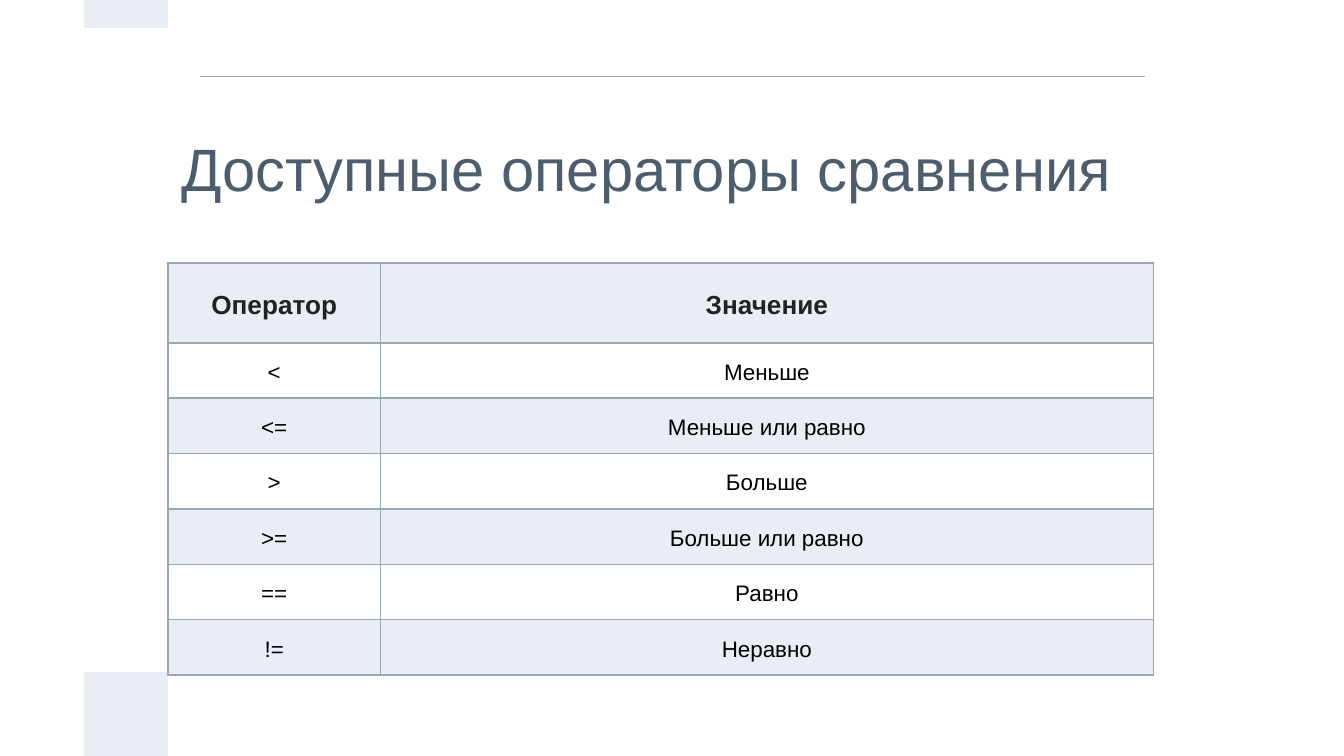
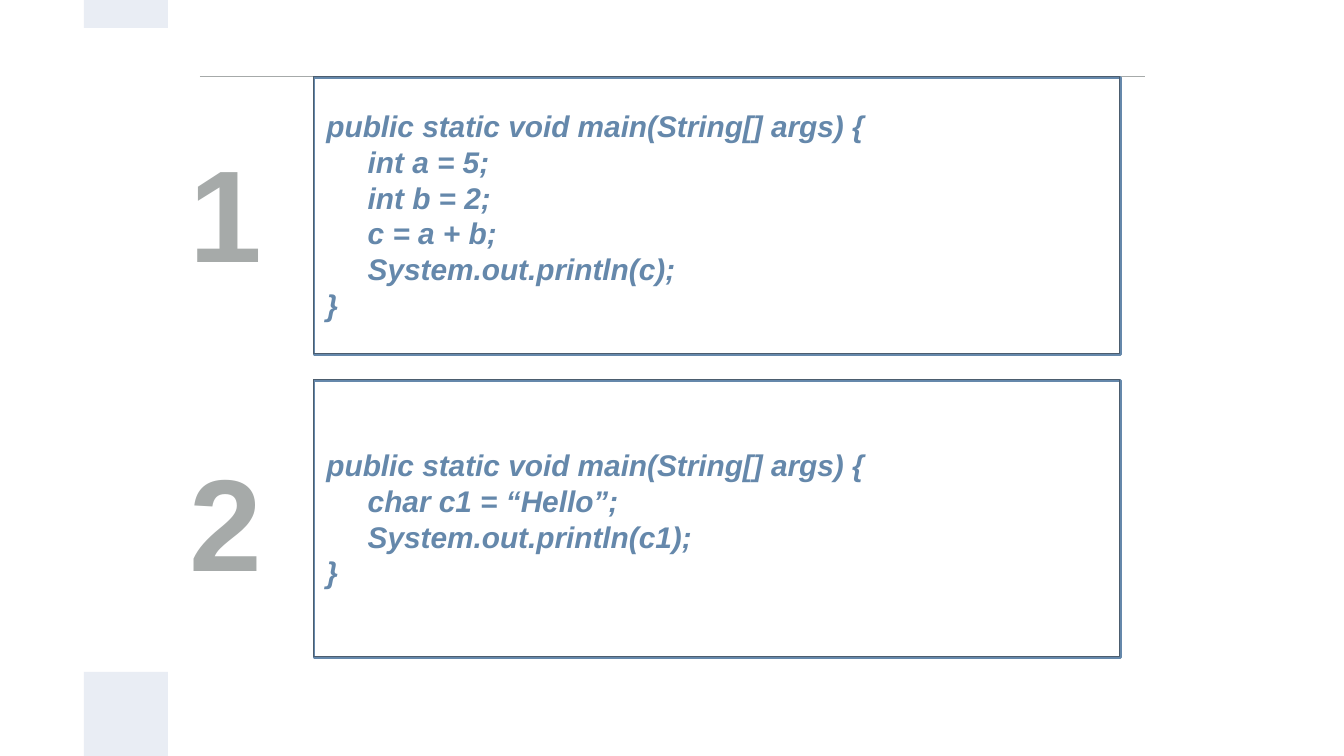
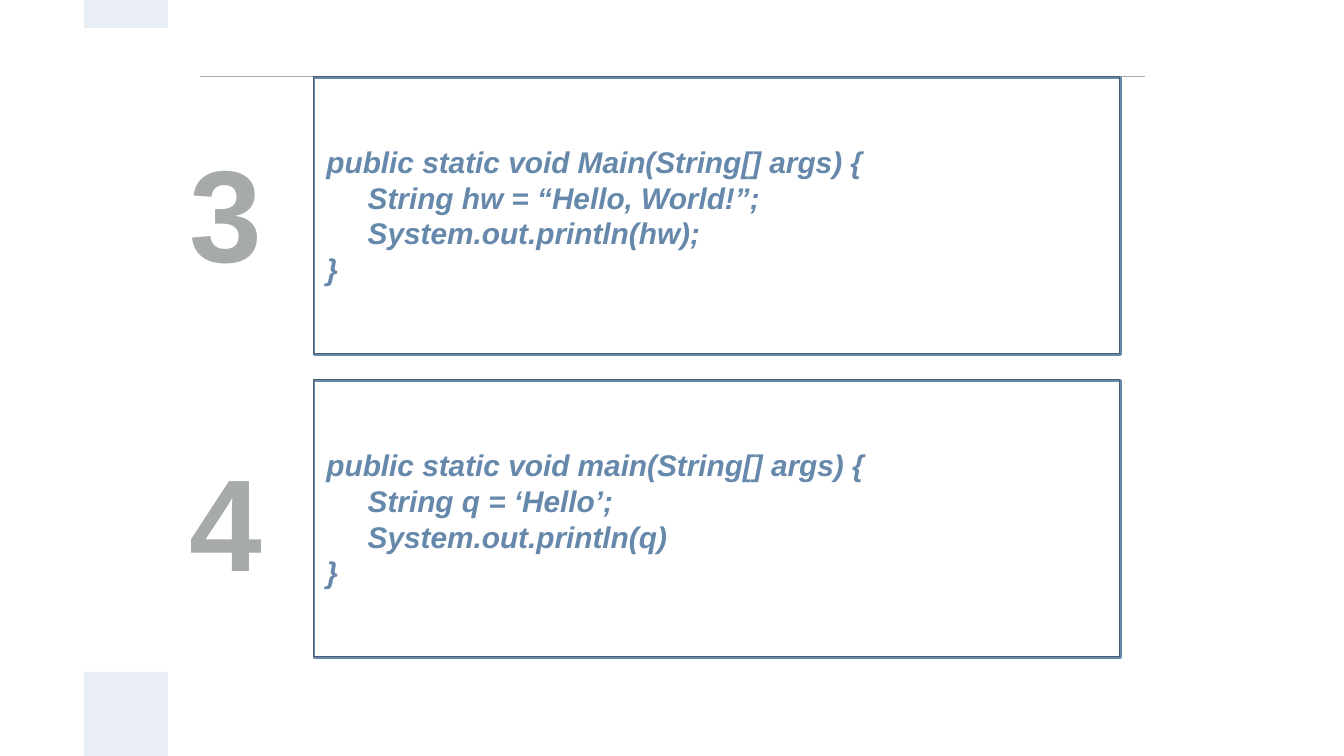
from lxml import etree
from pptx import Presentation, util as u
from pptx.dml.color import RGBColor
from pptx.enum import shapes, text
from pptx.oxml.ns import qn

UNIT = 0.625
COLS, ROWS = 16, 9
FONT = "Arial"
PALE, GREY, BLUE, SLATE = "E9EDF4", "A6AAA9", "6588AB", "4C5D6E"
EDGE, HEAD, BLACK = "99A8B7", "222222", "000000"
MID, LEFT = text.PP_ALIGN.CENTER, text.PP_ALIGN.LEFT

SIGNS = [
    ("Оператор", "Значение"),
    ("<", "Меньше"),
    ("<=", "Меньше или равно"),
    (">", "Больше"),
    (">=", "Больше или равно"),
    ("==", "Равно"),
    ("!=", "Неравно"),
]

TASKS = [
    [
        """public static void main(String[] args) {
     int a = 5;
     int b = 2;
     c = a + b;
     System.out.println(c);
}""",
        """public static void main(String[] args) {
     char c1 = “Hello”;
     System.out.println(c1);
}""",
    ],
    [
        """public static void Main(String[] args) {
     String hw = “Hello, World!”;
     System.out.println(hw);
}""",
        """public static void main(String[] args) {
     String q = ‘Hello’;
     System.out.println(q)
}""",
    ],
]


def grid(*cells):
    """Turn counts of grid units into lengths."""
    return [u.Inches(n * UNIT) for n in cells]


def tint(code):
    """Return the colour for a hex string."""
    return RGBColor.from_string(code)


def write(frame, words, size, color, bold=False, slant=False, align=LEFT, gap=None):
    """Fill a text frame with one paragraph for each line of words."""
    frame.word_wrap = True
    for i, line in enumerate(words.split("\n")):
        para = frame.add_paragraph() if i else frame.paragraphs[0]
        para.text, para.alignment = line, align
        if gap:
            para.line_spacing = gap
        font = para.font
        font.name, font.size = FONT, u.Pt(size)
        font.bold, font.italic = bold, slant
        font.color.rgb = tint(color)


def inset(frame):
    """Centre a frame vertically with equal margins."""
    frame.vertical_anchor = text.MSO_ANCHOR.MIDDLE
    frame.margin_left = frame.margin_right = u.Inches(0.1)
    frame.margin_top = frame.margin_bottom = u.Inches(0.1)


def label(slide, spot, words, size, color, **style):
    """Add a text box."""
    frame = slide.shapes.add_textbox(*grid(*spot)).text_frame
    inset(frame)
    write(frame, words, size, color, **style)


def rect(slide, spot, fill=None, line=None, width=1):
    """Add a rectangle with an optional fill and outline."""
    box = slide.shapes.add_shape(shapes.MSO_SHAPE.RECTANGLE, *grid(*spot))
    box.shadow.inherit = False
    if fill:
        box.fill.solid()
        box.fill.fore_color.rgb = tint(fill)
    else:
        box.fill.background()
    if line:
        box.line.color.rgb = tint(line)
        box.line.width = u.Pt(width)
    else:
        box.line.fill.background()
    return box


def rule(slide, start, end, row):
    """Add a thin horizontal line."""
    line = slide.shapes.add_connector(
        shapes.MSO_CONNECTOR.STRAIGHT, *grid(start, row, end, row))
    line.line.color.rgb = tint(GREY)
    line.line.width = u.Pt(0.75)
    etree.SubElement(line._element.spPr, qn("a:effectLst"))


def page(deck):
    """Add a slide with the shared rule and side bands."""
    slide = deck.slides.add_slide(deck.slide_layouts[6])
    rule(slide, 2.38, 13.63, 0.91)
    rect(slide, (1, 8, 1, 1), PALE)
    rect(slide, (1, 0, 1, 1 / 3), PALE)
    return slide


def border(cell):
    """Draw all four edges of a cell."""
    props = cell._tc.get_or_add_tcPr()
    for i, side in enumerate(("lnL", "lnR", "lnT", "lnB")):
        edge = etree.Element(qn("a:" + side), w=str(u.Pt(0.96)))
        fill = etree.SubElement(edge, qn("a:solidFill"))
        etree.SubElement(fill, qn("a:srgbClr"), val=EDGE)
        props.insert(i, edge)


def table(slide, spot, data, widths, heights):
    """Add a bordered table with every other row shaded."""
    grown = slide.shapes.add_table(len(data), len(widths), *grid(*spot)).table
    for col, size in zip(grown.columns, grid(*widths)):
        col.width = size
    for r, (row, size) in enumerate(zip(grown.rows, grid(*heights))):
        row.height = size
        for cell, words in zip(row.cells, data[r]):
            cell.vertical_anchor = text.MSO_ANCHOR.MIDDLE
            cell.margin_left = cell.margin_right = u.Inches(0.07)
            cell.margin_top = cell.margin_bottom = u.Inches(0.05)
            if r % 2:
                cell.fill.background()
            else:
                cell.fill.solid()
                cell.fill.fore_color.rgb = tint(PALE)
            border(cell)
            size, color = (12, BLACK) if r else (14, HEAD)
            write(cell.text_frame, words, size, color,
                  bold=not r, align=MID, gap=1.15)


def code(slide, top, words):
    """Add a double-outlined box of code."""
    rect(slide, (3.74, top + 0.01, 9.6, 3.3), line=BLUE, width=1.5)
    box = rect(slide, (3.73, top, 9.6, 3.3), line=SLATE, width=0.75)
    inset(box.text_frame)
    write(box.text_frame, words, 16, BLUE, bold=True, slant=True)


def main():
    """Build the deck."""
    deck = Presentation()
    deck.slide_width, deck.slide_height = grid(COLS, ROWS)

    slide = page(deck)
    tail = len(SIGNS) - 1
    table(slide, (2, 3.13, 11.73, 4.88), SIGNS, (2.53, 9.2), [0.95] + [0.66] * tail)
    label(slide, (2, 1, 12, 2), "Доступные операторы сравнения", 32, SLATE)

    count = 0
    for pair in TASKS:
        slide = page(deck)
        for words, top, rise in zip(pair, (0.91, 4.52), (0.85, 4.53)):
            count += 1
            code(slide, top, words)
            label(slide, (1.9, rise, 1.58, 3.3), str(count), 70, GREY,
                  bold=True, align=MID)

    deck.save("out.pptx")


if __name__ == "__main__":
    main()
